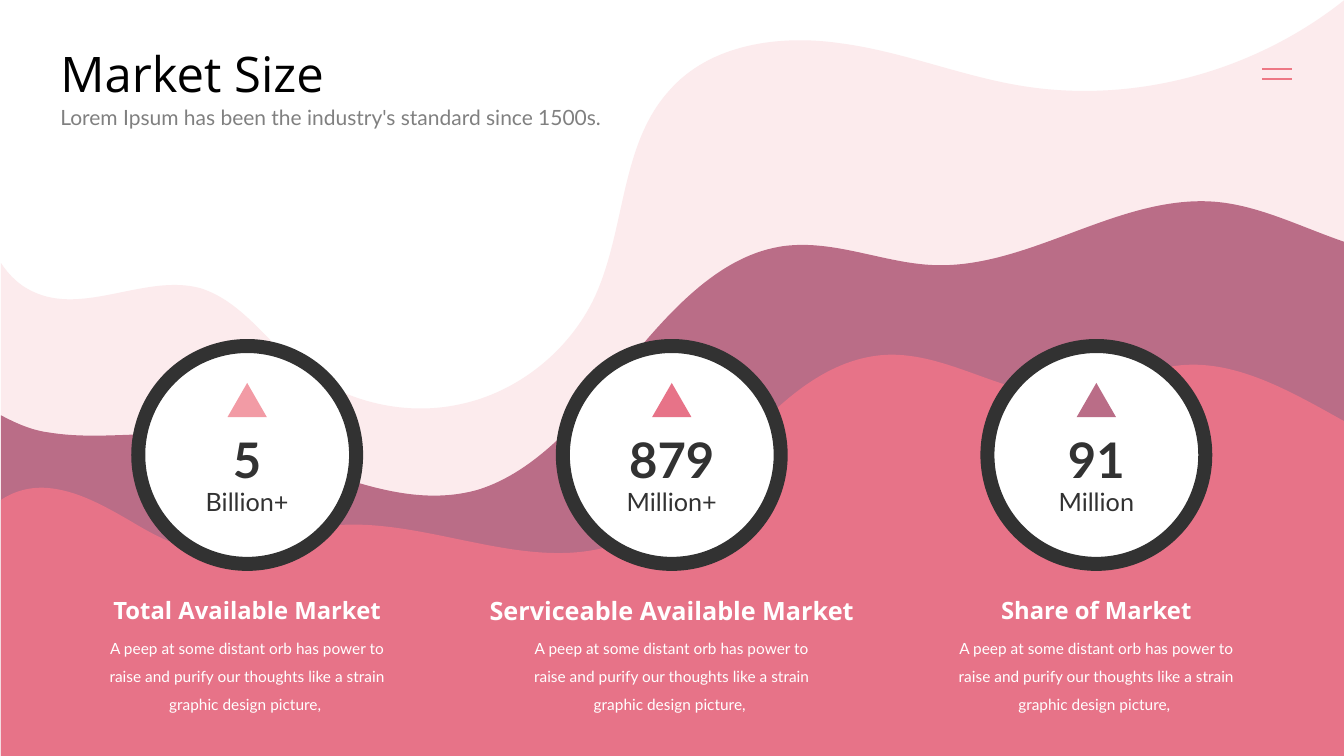
from dataclasses import dataclass

from lxml.etree import SubElement
from pptx import Presentation
from pptx.dml.color import RGBColor
from pptx.enum.shapes import MSO_CONNECTOR as Link, MSO_SHAPE as Shape
from pptx.enum.text import MSO_ANCHOR as Anchor, MSO_AUTO_SIZE as Fit, PP_ALIGN as Align
from pptx.oxml.ns import qn
from pptx.util import Cm, Pt


@dataclass(frozen=True)
class Theme:
    blush: str = "FCEBED"
    mauve: str = "BA6D87"
    rose: str = "E77388"
    light: str = "F29BA5"
    menu: str = "ED7885"
    dark: str = "323232"
    grey: str = "808080"
    white: str = "FFFFFF"
    black: str = "000000"
    head: str = "Open Sans"
    body: str = "Lato"
    big: int = 35
    unit: int = 18
    label: int = 17
    sub: int = 15
    small: int = 11
    lead: int = 20


THEME = Theme()
GRID = 2.54  # cm per wave grid step
LEFT, RIGHT = 0.01, 13.34

# Each wave: colour, base, right-hand height, then Bezier curves running left.
WAVES = [
    (THEME.blush, 7.26, 0, [
        (12.45, 0.71, 11.25, 1.04, 10.12, 0.85), (9.52, 0.75, 8.95, 0.51, 8.34, 0.43),
        (7.73, 0.34, 7.04, 0.44, 6.64, 0.9), (6.15, 1.44, 6.21, 2.28, 5.9, 2.95),
        (5.65, 3.48, 5.14, 3.89, 4.57, 4.01), (3.99, 4.14, 3.36, 3.97, 2.91, 3.59),
        (2.61, 3.33, 2.37, 2.98, 1.99, 2.86), (1.45, 2.71, 0.83, 3.14, 0.32, 2.89),
        (0.19, 2.83, 0.09, 2.73, 0.01, 2.61)]),
    (THEME.mauve, 7.5, 2.4, [
        (12.9, 2.25, 12.48, 2.03, 12.03, 2), (11.08, 1.94, 10.2, 2.67, 9.26, 2.63),
        (8.77, 2.61, 8.29, 2.38, 7.79, 2.44), (7.16, 2.52, 6.67, 3.06, 6.24, 3.58),
        (5.8, 4.1, 5.35, 4.67, 4.74, 4.86), (3.81, 5.12, 2.89, 4.42, 1.93, 4.32),
        (1.45, 4.27, 0.96, 4.37, 0.48, 4.29), (0.32, 4.27, 0.16, 4.2, 0.01, 4.12)]),
    (THEME.rose, 7.5, 4.18, [
        (12.8, 3.88, 12.24, 3.55, 11.66, 3.63), (11.31, 3.68, 11, 3.88, 10.65, 3.92),
        (10.01, 3.97, 9.43, 3.49, 8.79, 3.52), (8.24, 3.55, 7.79, 3.94, 7.42, 4.34),
        (7.05, 4.75, 6.69, 5.19, 6.17, 5.38), (5.19, 5.75, 4.09, 5.02, 3.07, 5.25),
        (2.74, 5.32, 2.43, 5.48, 2.1, 5.47), (1.8, 5.46, 1.53, 5.31, 1.28, 5.16),
        (1.02, 5.01, 0.75, 4.86, 0.46, 4.84), (0.3, 4.83, 0.14, 4.87, 0.01, 4.96)]),
]

MARKETS = [
    ("5", "Billion+", "Total Available Market", THEME.label, THEME.light),
    ("879", "Million+", "Serviceable Available Market", THEME.unit, THEME.rose),
    ("91", "Million", "Share of Market", THEME.label, THEME.mauve),
]
BLURB = ("A peep at some distant orb has power to raise and purify "
         "our thoughts like a strain graphic design picture, ")
FIRST, PITCH = 6.23, 10.7


def rgb(code):
    return RGBColor.from_string(code)


def paint(shape, fill, line=None, width=0):
    shape.shadow.inherit = False
    shape.fill.solid()
    shape.fill.fore_color.rgb = rgb(fill)
    if line:
        shape.line.color.rgb = rgb(line)
        shape.line.width = Pt(width)
    else:
        shape.line.fill.background()


def bend(shape, count):
    """Turn the segments after the first side into cubic curves, three to each."""
    path = next(shape.element.iter(qn("a:path")))
    sides = path.findall(qn("a:lnTo"))[1:]
    for i in range(0, 3 * count, 3):
        curve = SubElement(path, qn("a:cubicBezTo"))
        sides[i].addprevious(curve)
        for side in sides[i:i + 3]:
            curve.append(side[0])
            path.remove(side)


def add_wave(slide, fill, base, top, curves):
    knots = [(c[i], c[i + 1]) for c in curves for i in (0, 2, 4)]
    dots = [(RIGHT, top), *knots, (LEFT, base)]
    pen = slide.shapes.build_freeform(Cm(RIGHT * GRID), Cm(base * GRID))
    pen.add_line_segments([(Cm(x * GRID), Cm(y * GRID)) for x, y in dots])
    wave = pen.convert_to_shape()
    bend(wave, len(curves))
    paint(wave, fill)


def write(frame, text, size, font, color, bold=False, align=Align.CENTER):
    frame.word_wrap = True
    frame.auto_size = Fit.NONE
    para = frame.paragraphs[0]
    para.alignment = align
    run = para.add_run()
    run.text = text
    run.font.size = Pt(size)
    run.font.name = font
    run.font.bold = bold
    run.font.color.rgb = rgb(color)
    return para


def add_text(slide, box, *args, **style):
    frame = slide.shapes.add_textbox(*map(Cm, box)).text_frame
    return write(frame, *args, **style)


def add_mark(slide, kind, mid, top, width, height, *look):
    box = mid - width / 2, top, width, height
    paint(slide.shapes.add_shape(kind, *map(Cm, box)), *look)


def add_market(slide, mid, count, unit, label, size, color):
    def put(top, width, height, *args, **style):
        return add_text(slide, (mid - width / 2, top, width, height), *args, **style)

    add_mark(slide, Shape.OVAL, mid, 8.72, 5.49, 5.49, THEME.white, THEME.dark, 10)
    put(10.69, 2.75, 1.75, count, THEME.big, THEME.body, THEME.dark, bold=True)
    put(14.88, 10.2, 1, label, size, THEME.head, THEME.white, bold=True)
    put(12.14, 2.87, 1.02, unit, THEME.unit, THEME.body, THEME.dark)
    add_mark(slide, Shape.ISOSCELES_TRIANGLE, mid, 9.65, 0.99, 0.86, color)
    para = put(15.75, 7.9, 2.31, BLURB, THEME.small, THEME.body, THEME.white)
    para.line_spacing = Pt(THEME.lead)


def add_title(slide, text):
    title = slide.shapes.title
    title.left, title.top, title.width, title.height = map(Cm, (1.27, 0.99, 31.32, 1.68))
    title.text_frame.vertical_anchor = Anchor.MIDDLE
    write(title.text_frame, text, THEME.big, THEME.head, THEME.black, align=Align.LEFT)
    title.element.getparent().append(title.element)  # bring to front


def add_menu(slide):
    group = slide.shapes.add_group_shape()
    for y in (1.73, 2):
        ends = map(Cm, (31.81, y, 32.56, y))
        bar = group.shapes.add_connector(Link.STRAIGHT, *ends)
        bar.line.color.rgb = rgb(THEME.menu)
        bar.line.width = Pt(1.5)
        SubElement(bar.element.spPr, qn("a:effectLst"))


def main():
    deck = Presentation()
    deck.slide_width, deck.slide_height = Cm(33.87), Cm(19.05)
    slide = deck.slides.add_slide(deck.slide_layouts[5])
    for wave in WAVES:
        add_wave(slide, *wave)
    for i, market in enumerate(MARKETS):
        add_market(slide, FIRST + i * PITCH, *market)
    add_title(slide, "Market Size")
    add_menu(slide)
    add_text(slide, (1.27, 2.52, 31.32, 0.89),
             "Lorem Ipsum has been the industry's standard since 1500s.",
             THEME.sub, THEME.body, THEME.grey, align=Align.LEFT)
    deck.save("out.pptx")


if __name__ == "__main__":
    main()
